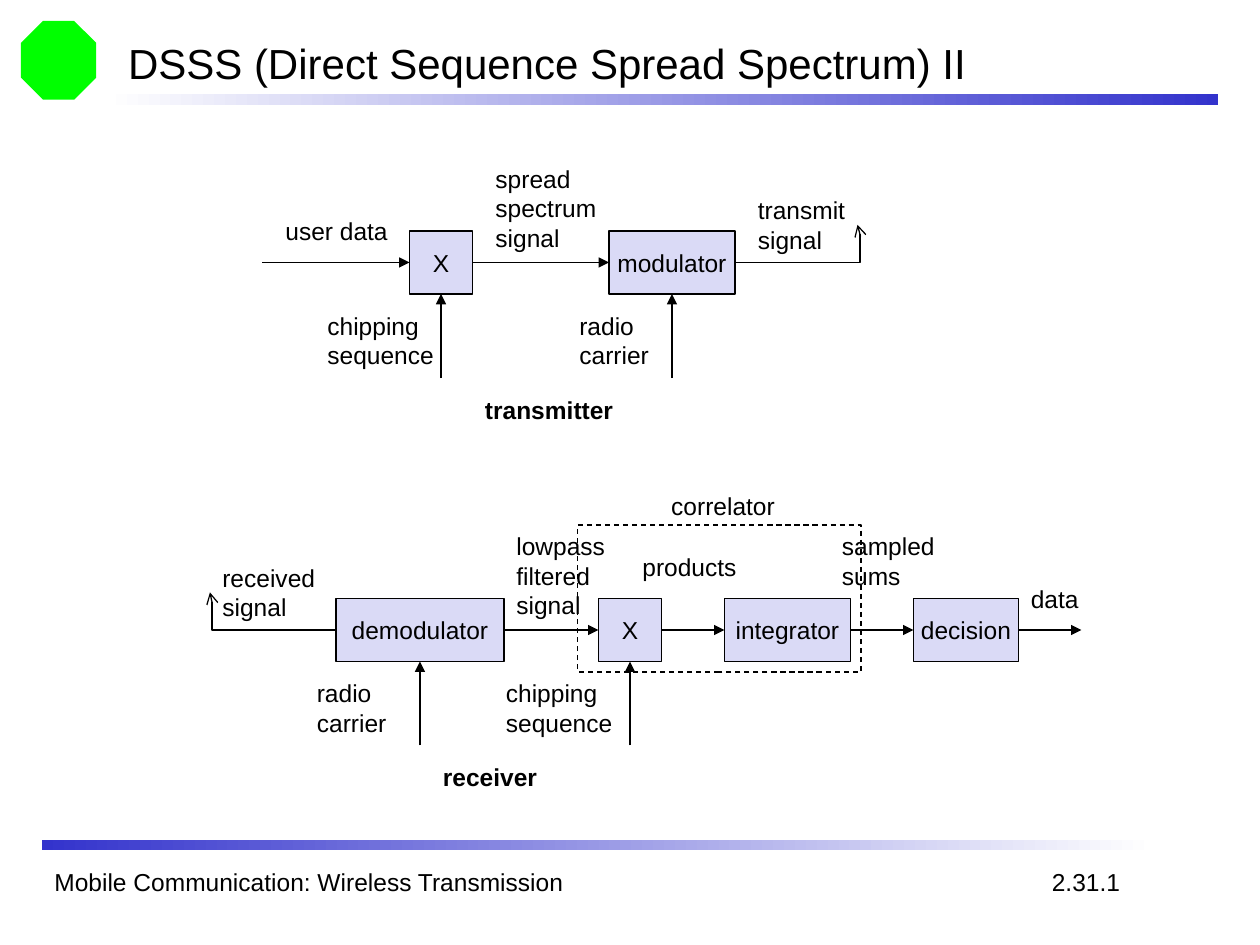
from lxml import etree
from pptx import Presentation
from pptx.dml.color import RGBColor
from pptx.enum.dml import MSO_LINE
from pptx.enum.shapes import MSO_CONNECTOR, MSO_SHAPE
from pptx.enum.text import MSO_ANCHOR, MSO_AUTO_SIZE, PP_ALIGN
from pptx.oxml.ns import qn
from pptx.util import Pt

RECT, OCTAGON = MSO_SHAPE.RECTANGLE, MSO_SHAPE.OCTAGON
STRAIGHT, ELBOW = MSO_CONNECTOR.STRAIGHT, MSO_CONNECTOR.ELBOW
DASH = MSO_LINE.DASH
LEFT, CENTER = PP_ALIGN.LEFT, PP_ALIGN.CENTER
TOP, MIDDLE = MSO_ANCHOR.TOP, MSO_ANCHOR.MIDDLE
NO_RESIZE, GROW = MSO_AUTO_SIZE.NONE, MSO_AUTO_SIZE.SHAPE_TO_FIT_TEXT
BLACK, WHITE, BLUE, LILAC, GREEN = "000000", "FFFFFF", "3333CC", "DADAF6", "00FF00"


def rgb(value):
    return RGBColor.from_string(value)


def write(sp, text, size=14, bold=False, align=LEFT, anchor=TOP, fit=NO_RESIZE, wrap=False):
    tf = sp.text_frame
    tf.text = text
    tf.word_wrap = wrap
    tf.auto_size = fit
    tf.vertical_anchor = anchor
    for p in tf.paragraphs:
        p.alignment = align
        for r in p.runs:
            r.font.name = "Arial"
            r.font.size = Pt(size)
            r.font.bold = bold
            r.font.color.rgb = rgb(BLACK)


prs = Presentation()
prs.slide_width, prs.slide_height = Pt(720), Pt(540)
s = prs.slides.add_slide(prs.slide_layouts[5])

# Plain mark in the corner
sp = s.shapes.add_shape(OCTAGON, Pt(12), Pt(12), Pt(43), Pt(45))
sp.shadow.inherit = False
sp.fill.solid()
sp.fill.fore_color.rgb = rgb(GREEN)
sp.line.fill.background()

# Gradient bars under the title and above the footer
for left, top, colors in ((60, 54, (WHITE, BLUE)), (24, 480, (BLUE, WHITE))):
    sp = s.shapes.add_shape(RECT, Pt(left), Pt(top), Pt(636), Pt(6))
    sp.shadow.inherit = False
    sp.line.fill.background()
    sp.fill.gradient()
    sp.fill.gradient_angle = 0
    for stop, color in zip(sp.fill.gradient_stops, colors):
        stop.color.rgb = rgb(color)

# Title
title = s.shapes.title
title.left, title.top, title.width, title.height = Pt(66), Pt(18), Pt(612), Pt(36)
write(title, "DSSS (Direct Sequence Spread Spectrum) II", size=24, anchor=MIDDLE, wrap=True)

# Correlator frame
sp = s.shapes.add_shape(RECT, Pt(330), Pt(300), Pt(162), Pt(84))
sp.shadow.inherit = False
sp.fill.background()
sp.line.color.rgb = rgb(BLACK)
sp.line.width = Pt(0.75)
sp.line.dash_style = DASH

# Processing blocks: text, left, top, width
blocks = [
    ("X", 234, 132, 36),
    ("modulator", 348, 132, 72),
    ("demodulator", 192, 342, 96),
    ("X", 342, 342, 36),
    ("integrator", 414, 342, 72),
    ("decision", 522, 342, 60),
]
for text, left, top, width in blocks:
    sp = s.shapes.add_shape(RECT, Pt(left), Pt(top), Pt(width), Pt(36))
    sp.shadow.inherit = False
    sp.fill.solid()
    sp.fill.fore_color.rgb = rgb(LILAC)
    sp.line.color.rgb = rgb(BLACK)
    sp.line.width = Pt(0.75)
    write(sp, text, align=CENTER, anchor=MIDDLE)

# Signal flow: x1, y1, x2, y2, bend, arrow end, arrow type
flows = [(x1, y, x2, y, None, "tailEnd", "triangle") for x1, x2, y in (
    (150, 234, 150), (270, 348, 150),
    (288, 342, 360), (378, 414, 360), (486, 522, 360), (582, 618, 360))]
flows += [(x, y + 48, x, y, None, "tailEnd", "triangle")
          for x, y in ((252, 168), (384, 168), (240, 378), (360, 378))]
flows += [
    (420, 150, 490, 128.5, 102100, "tailEnd", "arrow"),
    (120, 338.5, 192, 360, 1700, "headEnd", "arrow"),
]
for x1, y1, x2, y2, bend, end, arrow in flows:
    c = s.shapes.add_connector(ELBOW if bend else STRAIGHT, Pt(x1), Pt(y1), Pt(x2), Pt(y2))
    c.line.color.rgb = rgb(BLACK)
    c.line.width = Pt(0.75)
    etree.SubElement(c.line._get_or_add_ln(), qn("a:" + end), type=arrow)
    sppr = c._element.spPr
    etree.SubElement(sppr, qn("a:effectLst"))
    if bend:
        guides = sppr.find(qn("a:prstGeom")).find(qn("a:avLst"))
        etree.SubElement(guides, qn("a:gd"), name="adj1", fmla=f"val {bend}")

# Labels: text, left, top, width, bold
labels = [
    ("user data", 156, 120, 74, False),
    ("chipping\nsequence", 180, 174, 77, False),
    ("radio\ncarrier", 324, 174, 56, False),
    ("spread\nspectrum\nsignal", 276, 90, 74, False),
    ("transmit\nsignal", 426, 108, 66, False),
    ("transmitter", 270, 222, 90, True),
    ("received\nsignal", 120, 318, 69, False),
    ("radio\ncarrier", 174, 384, 56, False),
    ("chipping\nsequence", 282, 384, 77, False),
    ("lowpass\nfiltered\nsignal", 288, 300, 67, False),
    ("receiver", 246, 432, 70, True),
    ("products", 360, 312, 70, False),
    ("data", 582, 330, 44, False),
    ("sampled\nsums", 474, 300, 69, False),
    ("correlator", 376.5, 277, 75, False),
    ("2.31.1", 594, 492, 55, False),
]
for text, left, top, width, bold in labels:
    height = 24.25 + 16.75 * text.count("\n")
    sp = s.shapes.add_textbox(Pt(left), Pt(top), Pt(width), Pt(height))
    write(sp, text, bold=bold, fit=GROW)

# Footer
sp = s.shapes.add_textbox(Pt(24), Pt(492), Pt(354), Pt(24))
write(sp, "Mobile Communication: Wireless Transmission", wrap=True)

prs.save("out.pptx")
